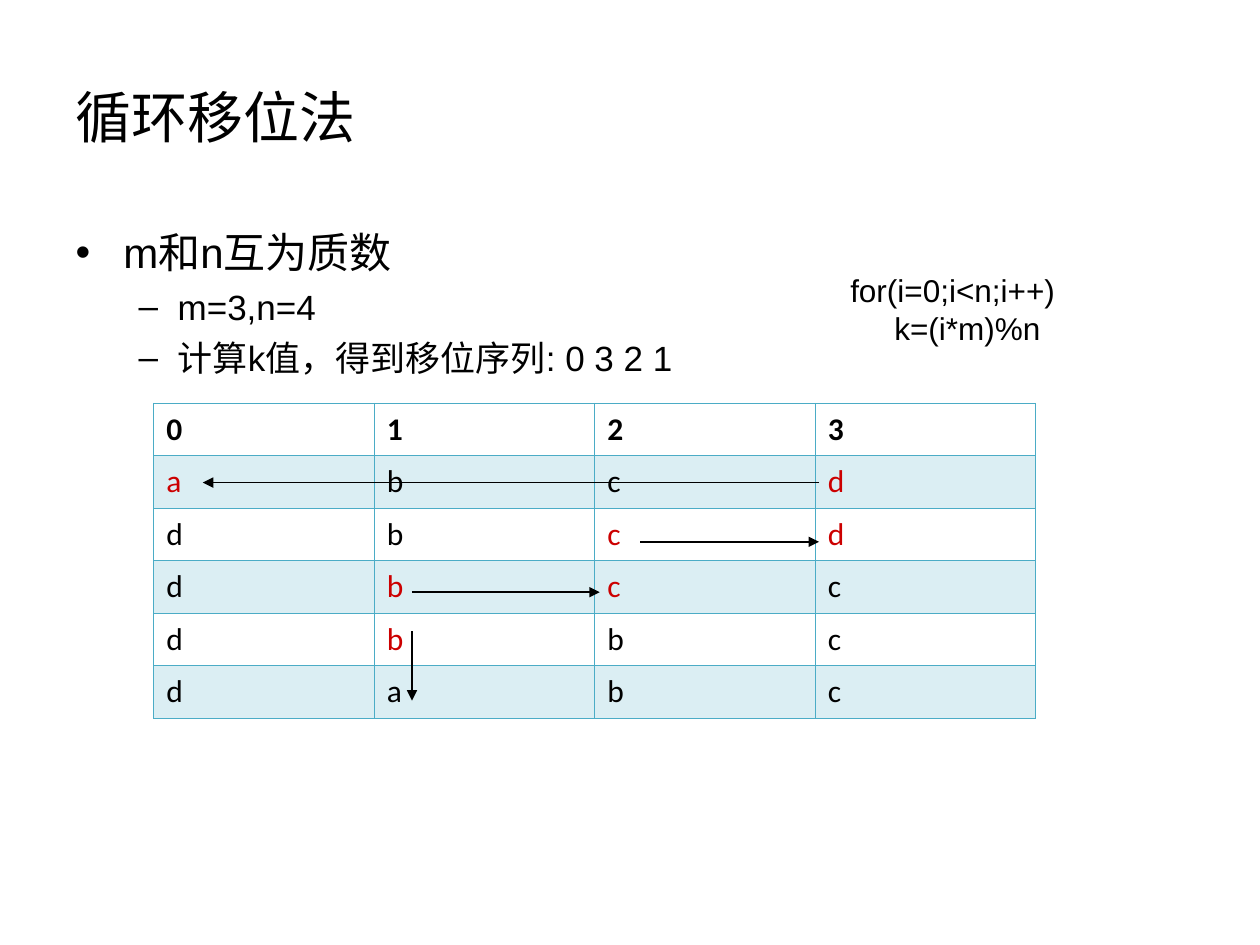
from lxml import etree
from pptx import Presentation
from pptx import util as u
from pptx.dml.color import RGBColor
from pptx.enum import shapes, text
from pptx.oxml.ns import qn


def color(code):
    return RGBColor.from_string(code)


def style(para, size, face="Arial", code="000000", bold=False):
    para.font.size = u.Pt(size)
    para.font.name = face
    para.font.bold = bold
    para.font.color.rgb = color(code)


deck = Presentation()
deck.slide_width, deck.slide_height = u.Inches(10), u.Inches(7.5)
slide = deck.slides.add_slide(deck.slide_layouts[1])

title, body = slide.placeholders
title.left, title.top = u.Inches(0.5), u.Inches(0.3)
title.width, title.height = u.Inches(9), u.Inches(1.25)
title.text_frame.text = "循环移位法"
head = title.text_frame.paragraphs[0]
head.alignment = text.PP_ALIGN.LEFT
style(head, 32)

body.left, body.top = u.Inches(0.5), u.Inches(1.75)
body.width, body.height = u.Inches(9), u.Inches(4.95)
items = [
    ("m和n互为质数", 0, 24, 6, 0.38, -0.38),
    ("m=3,n=4", 1, 20, 5, 0.81, -0.31),
    ("计算k值，得到移位序列: 0 3 2 1", 1, 20, 5, 0.81, -0.31),
]
body.text_frame.text = "\n".join(item[0] for item in items)
for para, (_, level, size, gap, left, hang) in zip(body.text_frame.paragraphs, items):
    para.level = level
    para.space_before = u.Pt(gap)
    style(para, size)
    props = para._p.get_or_add_pPr()
    props.set("marL", str(u.Inches(left)))
    props.set("indent", str(u.Inches(hang)))

code = slide.shapes.add_textbox(u.Inches(6.65), u.Inches(2.1), u.Inches(1.9), u.Inches(0.7))
code.text_frame.word_wrap = True
code.text_frame.auto_size = text.MSO_AUTO_SIZE.NONE
code.text_frame.text = "for(i=0;i<n;i++)\nk=(i*m)%n"
for para in code.text_frame.paragraphs:
    style(para, 18)
para._p.get_or_add_pPr().set("marL", str(u.Inches(0.35)))

rows = ["0123", "abcd", "dbcd", "dbcc", "dbbc", "dabc"]
moved = {(1, 0), (1, 3), (2, 2), (2, 3), (3, 1), (3, 2), (4, 1)}
frame = slide.shapes.add_table(
    len(rows), 4, u.Inches(1.22), u.Inches(3.2), u.Inches(7), u.Inches(2.5))
table = frame.table
for r, row in enumerate(rows):
    for c, mark in enumerate(row):
        cell = table.cell(r, c)
        cell.text = mark
        cell.vertical_anchor = text.MSO_ANCHOR.MIDDLE
        ink = "CC0000" if (r, c) in moved else "000000"
        style(cell.text_frame.paragraphs[0], 18, "Calibri", ink, r == 0)
        props = cell._tc.get_or_add_tcPr()
        for side in ("lnL", "lnR", "lnT", "lnB"):
            thick = (r, side) in ((0, "lnB"), (1, "lnT"))
            edge = etree.SubElement(props, qn("a:" + side), w=str(u.Pt(0.96 if thick else 0.45)))
            fill = etree.SubElement(edge, qn("a:solidFill"))
            etree.SubElement(fill, qn("a:srgbClr"), val="4BACC6")
        if r % 2:
            cell.fill.solid()
            cell.fill.fore_color.rgb = color("4BACC6")
            tint = props.find(qn("a:solidFill")).find(qn("a:srgbClr"))
            etree.SubElement(tint, qn("a:alpha"), val="20000")
        else:
            cell.fill.background()

arrows = [
    (6.5, 3.83, 1.61, 3.83, 1),
    (5.08, 4.3, 6.5, 4.3, 1),
    (3.27, 4.7, 4.76, 4.7, 1),
    (3.27, 5.01, 3.27, 5.56, 0.75),
]
for *ends, width in arrows:
    arrow = slide.shapes.add_connector(
        shapes.MSO_CONNECTOR.STRAIGHT, *[u.Inches(end) for end in ends])
    arrow.line.color.rgb = color("000000")
    arrow.line.width = u.Pt(width)
    etree.SubElement(arrow.line._get_or_add_ln(), qn("a:tailEnd"), type="triangle")
    etree.SubElement(arrow._element.spPr, qn("a:effectLst"))

deck.save("out.pptx")
